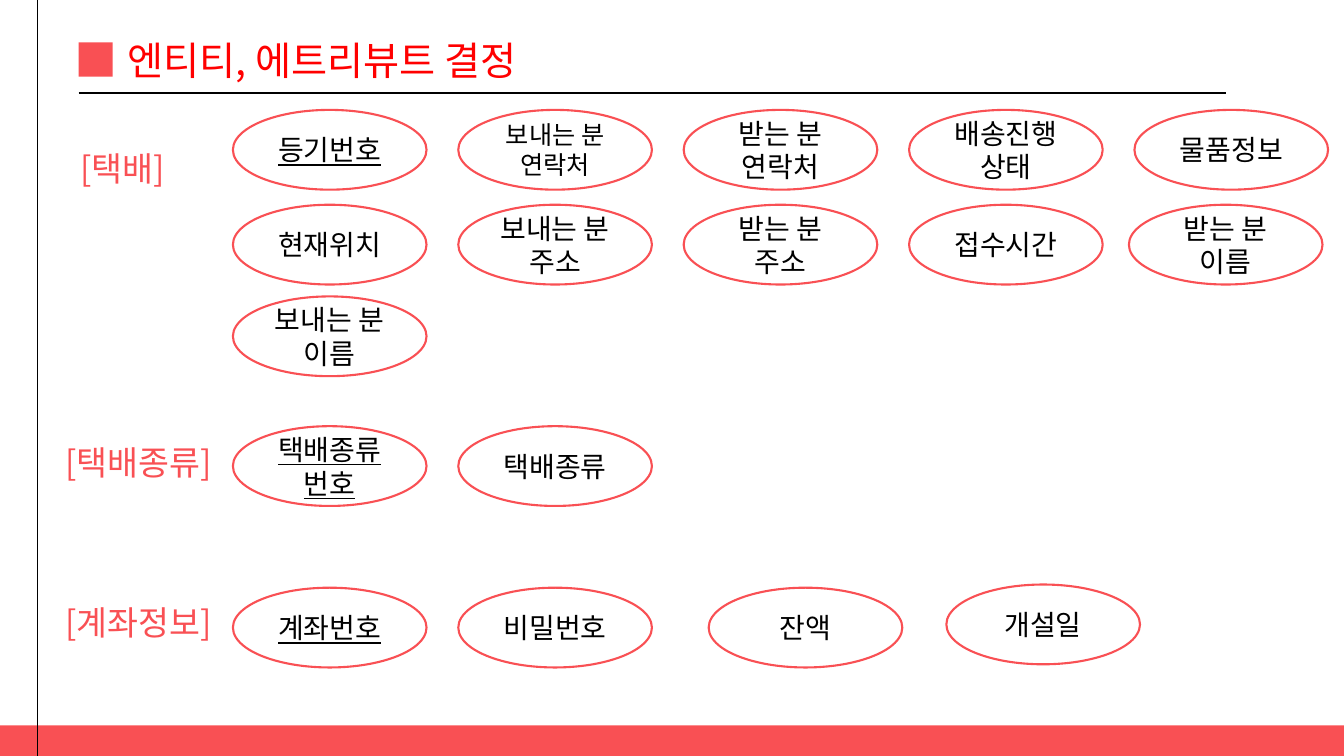
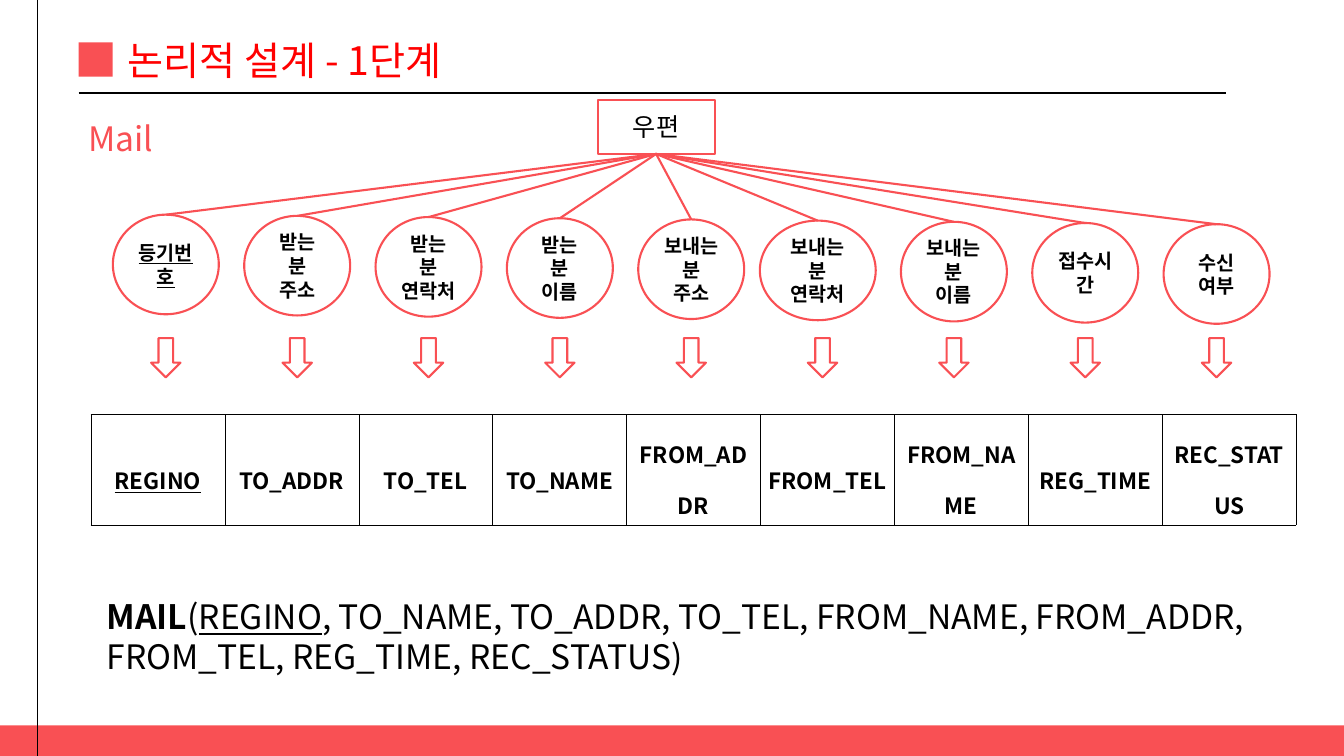
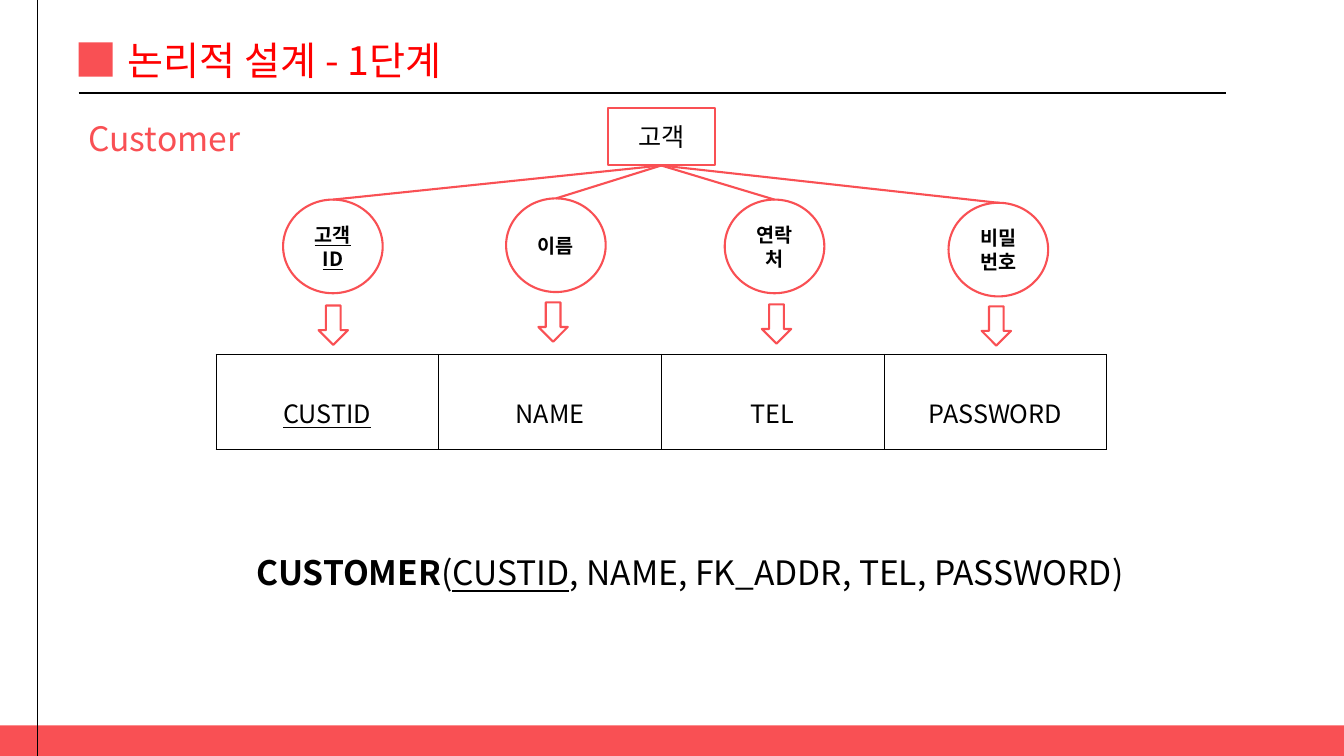
from dataclasses import dataclass

from lxml import etree
from pptx import Presentation, util as u
from pptx.dml.color import RGBColor
from pptx.enum import shapes, text
from pptx.oxml.ns import qn


@dataclass(frozen=True)
class Theme:
    font: str = "Noto Sans CJK KR"
    coral: str = "F95054"
    red: str = "FF0000"
    black: str = "000000"
    white: str = "FFFFFF"
    title_size: int = 28
    label_size: int = 24
    attribute_size: int = 20
    entity_size: int = 18
    circle_size: int = 14
    outline: float = 1.5
    rule: float = 1
    border: float = 0.28


theme = Theme()
KIND = shapes.MSO_SHAPE
CENTER = text.PP_ALIGN.CENTER


def format_text(frame, size, color=theme.black, align=None, bold=False, key=False):
    """Format every run; a key attribute is underlined."""
    for para in frame.paragraphs:
        para.alignment = align
        for span in para.runs:
            span.font.name = theme.font
            span.font.size = u.Pt(size)
            span.font.bold = bold
            span.font.underline = key
            span.font.color.rgb = RGBColor.from_string(color)
            east_asian = etree.SubElement(span._r.get_or_add_rPr(), qn("a:ea"))
            east_asian.set("typeface", theme.font)


def draw_shape(page, kind, left, top, width, height, fill=None, line=theme.coral):
    shape = page.shapes.add_shape(kind, u.Cm(left), u.Cm(top), u.Cm(width), u.Cm(height))
    shape.shadow.inherit = False
    if fill:
        shape.fill.solid()
        shape.fill.fore_color.rgb = RGBColor.from_string(fill)
    else:
        shape.fill.background()
    if line:
        shape.line.color.rgb = RGBColor.from_string(line)
        shape.line.width = u.Pt(theme.outline)
    else:
        shape.line.fill.background()
    return shape


deck = Presentation()
deck.slide_width, deck.slide_height = u.Cm(33.87), u.Cm(19.05)

# Shared frame, title and section labels
pages = [
    ("엔티티, 에트리뷰트 결정",
     [("[택배]", 1.78, 3.61), ("[택배종류]", 1.4, 11), ("[계좌정보]", 1.4, 15.04)]),
    ("논리적 설계 - 1단계", [("Mail", 1.98, 2.84)]),
    ("논리적 설계 - 1단계", [("Customer", 1.98, 2.84)]),
]
for heading, labels in pages:
    page = deck.slides.add_slide(deck.slide_layouts[5])
    draw_shape(page, KIND.RECTANGLE, 0, 18.28, 33.87, 0.77, theme.coral, None)
    for x1, y1, x2, y2 in [(0.94, 0, 0.94, 19.05), (1.98, 2.34, 30.89, 2.34)]:
        rule = page.shapes.add_connector(
            shapes.MSO_CONNECTOR.STRAIGHT, u.Cm(x1), u.Cm(y1), u.Cm(x2), u.Cm(y2))
        rule.line.color.rgb = RGBColor.from_string(theme.black)
        rule.line.width = u.Pt(theme.rule)
    draw_shape(page, KIND.RECTANGLE, 1.98, 1.07, 0.86, 0.86, theme.coral, None)

    title = page.shapes.title
    title.left, title.top, title.width, title.height = (
        u.Cm(2.97), u.Cm(0.79), u.Cm(12.47), u.Cm(1.45))
    title.text_frame.text = heading
    title.text_frame.vertical_anchor = text.MSO_ANCHOR.TOP
    title.text_frame.auto_size = text.MSO_AUTO_SIZE.SHAPE_TO_FIT_TEXT
    format_text(title.text_frame, theme.title_size, theme.red, text.PP_ALIGN.LEFT)

    for caption, left, top in labels:
        box = page.shapes.add_textbox(u.Cm(left), u.Cm(top), u.Cm(8.99), u.Cm(2.13))
        box.text_frame.word_wrap = True
        box.text_frame.text = caption
        format_text(box.text_frame, theme.label_size, theme.coral)

entity_page, *diagram_pages = deck.slides

# Slide 1: attributes of each entity
columns = [5.87 + 5.68 * i for i in range(5)]
attribute_rows = [
    (2.77, columns, True,
     ["등기번호", "보내는 분 연락처", "받는 분\n연락처", "배송진행\n상태", "물품정보"]),
    (5.16, columns[:4] + [28.45], False,
     ["현재위치", "보내는 분 주소", "받는 분 주소", "접수시간", "받는 분\n이름"]),
    (7.47, columns, False, ["보내는 분 이름"]),
    (10.74, columns, True, ["택배종류\n번호", "택배종류"]),
    (14.81, columns[:2] + [17.86, 23.85], True, ["계좌번호", "비밀번호", "잔액", "개설일"]),
]
for top, lefts, has_key, names in attribute_rows:
    for i, (left, name) in enumerate(zip(lefts, names)):
        raised = 0.08 if name == "개설일" else 0
        oval = draw_shape(entity_page, KIND.OVAL, left, top - raised, 4.88, 2.01)
        oval.text_frame.text = name
        size = theme.entity_size if name == "보내는 분 연락처" else theme.attribute_size
        format_text(oval.text_frame, size, align=CENTER, key=has_key and i == 0)

# Slides 2 and 3: entity, attribute circles, table columns and relation schema
mail_centres = [4.18 + 3.31 * i for i in range(9)]
diagrams = [
    dict(
        entity="우편", entity_box=(15.06, 2.51, 2.95, 1.37),
        names=["등기번호", "받는 분 주소", "받는 분 연락처", "받는 분 이름", "보내는 분 주소",
               "보내는 분 연락처", "보내는 분 이름", "접수시간", "수신\n여부"],
        centres=mail_centres[:5] + [20.61] + mail_centres[6:],
        tops=[5.41 + 0.03 * i for i in range(9)],
        widths=[2.67] * 5 + [2.92] + [2.67] * 3, height=2.51,
        arrow_centres=mail_centres, arrow_tops=[8.52] * 9,
        fields=["REGINO", "TO_ADDR", "TO_TEL", "TO_NAME", "FROM_ADDR",
                "FROM_TEL", "FROM_NAME", "REG_TIME", "REC_STATUS"],
        table_box=(2.29, 10.44, 30.38, 2.79), field_size=16, field_bold=True,
        schema=["MAIL", "(", "REGINO", ", TO_NAME, TO_ADDR, TO_TEL, FROM_NAME, FROM_ADDR, "
                "FROM_TEL, REG_TIME, REC_STATUS)"],
        schema_box=(2.44, 14.88, 30.2, 2.31), wrap=True, spacing=1, after=0),
    dict(
        entity="고객", entity_box=(15.32, 2.72, 2.69, 1.45),
        names=["고객ID", "이름", "연락처", "비밀번호"],
        centres=[8.39, 14.01, 19.52, 25.16], tops=[5.03, 5, 5.03, 5.11],
        widths=[2.51] * 4, height=2.36,
        arrow_centres=[8.4, 13.94, 19.57, 25.11], arrow_tops=[7.7, 7.62, 7.67, 7.72],
        fields=["CUSTID", "NAME", "TEL", "PASSWORD"],
        table_box=(5.44, 8.92, 22.45, 2.41), field_size=18, field_bold=False,
        schema=["CUSTOMER", "(", "CUSTID", ", NAME, FK_ADDR, TEL, PASSWORD)"],
        schema_box=(6.22, 13.64, 22.35, 1.35), wrap=False, spacing=1.15, after=10),
]
for page, diagram in zip(diagram_pages, diagrams):
    entity = draw_shape(page, KIND.RECTANGLE, *diagram["entity_box"], theme.white)
    entity.text_frame.text = diagram["entity"]
    format_text(entity.text_frame, theme.entity_size, align=CENTER)

    circles = zip(diagram["names"], diagram["centres"], diagram["tops"], diagram["widths"])
    for i, (name, centre, top, width) in enumerate(circles):
        circle = draw_shape(page, KIND.OVAL, centre - width / 2, top, width, diagram["height"])
        circle.text_frame.text = name
        format_text(circle.text_frame, theme.circle_size, align=CENTER, bold=True, key=i == 0)
        link = page.shapes.add_connector(shapes.MSO_CONNECTOR.STRAIGHT, 0, 0, 0, 0)
        link.begin_connect(entity, 2)
        link.end_connect(circle, 0)
        link.line.color.rgb = RGBColor.from_string(theme.coral)
        link.line.width = u.Pt(theme.outline)

    for centre, top in zip(diagram["arrow_centres"], diagram["arrow_tops"]):
        draw_shape(page, KIND.DOWN_ARROW, centre - 0.37, top, 0.74, 0.99, theme.white)

    fields = diagram["fields"]
    table = page.shapes.add_table(
        1, len(fields), *[u.Cm(length) for length in diagram["table_box"]]).table
    table.first_row = table.horz_banding = False
    for i, field in enumerate(fields):
        cell = table.cell(0, i)
        cell.text = field
        cell.vertical_anchor = text.MSO_ANCHOR.MIDDLE
        cell.margin_left = cell.margin_right = u.Cm(0.18)
        cell.margin_top = cell.margin_bottom = u.Cm(0.05)
        cell.text_frame.paragraphs[0].line_spacing = 1.6
        format_text(cell.text_frame, diagram["field_size"], align=CENTER,
                    bold=diagram["field_bold"], key=i == 0)
        properties = cell._tc.get_or_add_tcPr()
        for side in ("a:lnL", "a:lnR", "a:lnT", "a:lnB"):
            border = etree.SubElement(properties, qn(side), w=str(u.Pt(theme.border)))
            fill = etree.SubElement(border, qn("a:solidFill"))
            etree.SubElement(fill, qn("a:srgbClr"), val=theme.black)
        cell.fill.background()

    box = page.shapes.add_textbox(*[u.Cm(length) for length in diagram["schema_box"]])
    box.text_frame.word_wrap = diagram["wrap"]
    box.text_frame.auto_size = text.MSO_AUTO_SIZE.SHAPE_TO_FIT_TEXT
    para = box.text_frame.paragraphs[0]
    para.line_spacing = diagram["spacing"]
    para.space_after = u.Pt(diagram["after"])
    for part in diagram["schema"]:
        para.add_run().text = part
    format_text(box.text_frame, theme.label_size)
    para.runs[0].font.bold = True
    para.runs[2].font.underline = True

# Connectors carry no shadow
for page in deck.slides:
    for shape in page.shapes:
        if shape.shape_type == shapes.MSO_SHAPE_TYPE.LINE:
            etree.SubElement(shape._element.spPr, qn("a:effectLst"))

deck.save("out.pptx")
